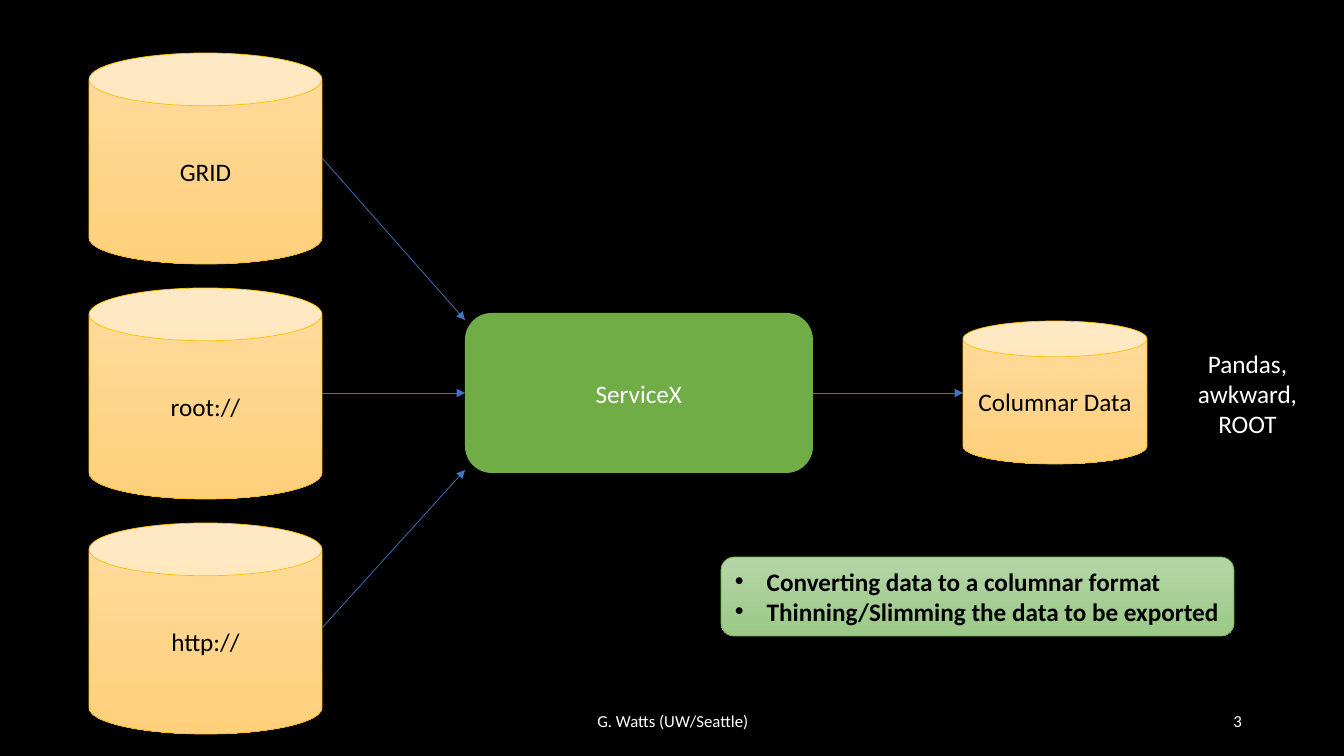
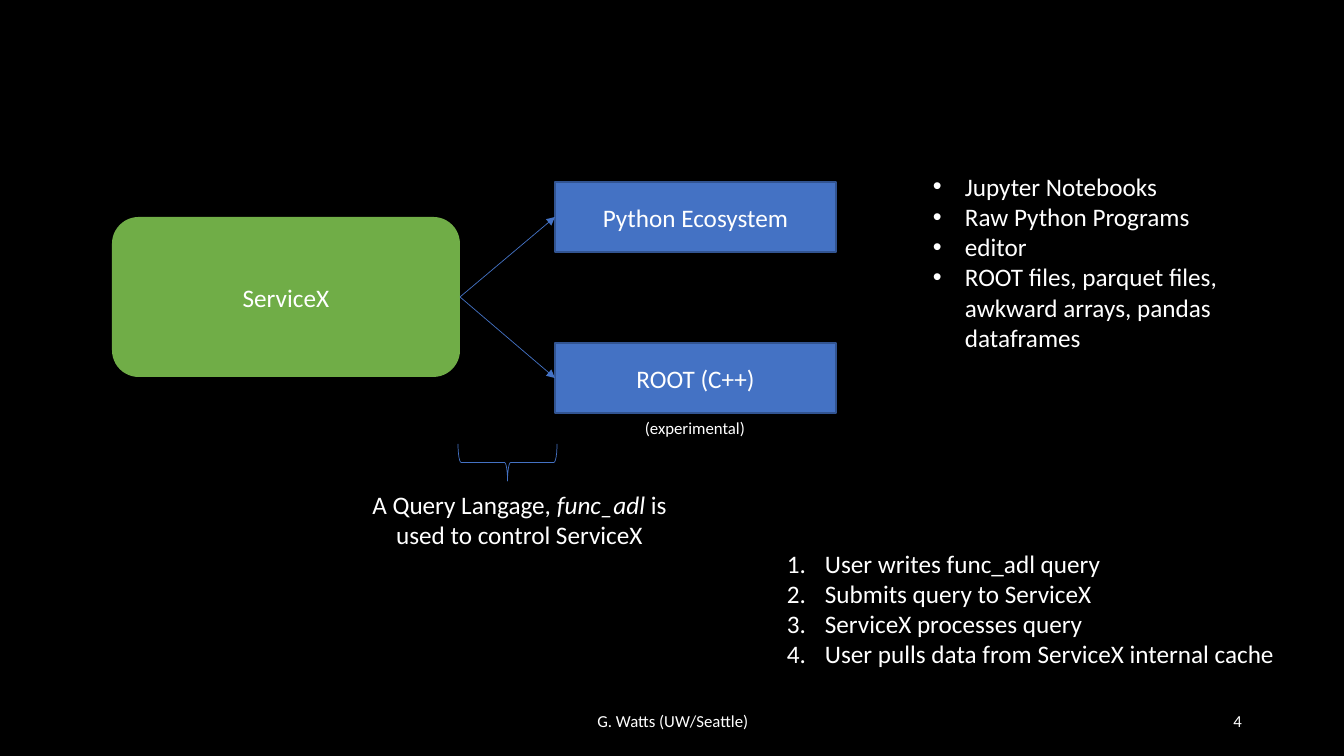
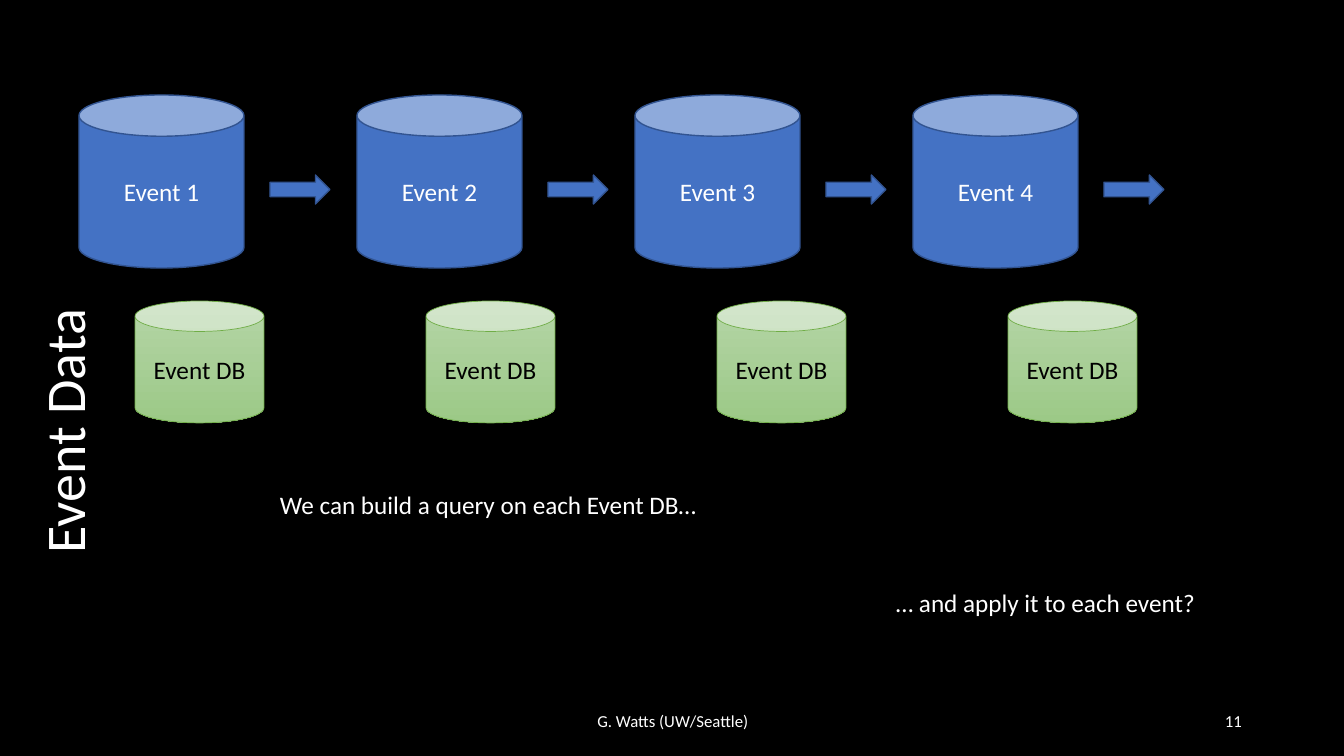
"""Build three slides on a data delivery service and its event queries."""
from dataclasses import dataclass

from lxml.etree import SubElement
from pptx import Presentation
from pptx.dml.color import RGBColor as Rgb
from pptx.enum.shapes import MSO_CONNECTOR as Link, MSO_SHAPE as Kind
from pptx.enum.text import MSO_ANCHOR as Anchor, MSO_AUTO_SIZE as Auto, PP_ALIGN as Align
from pptx.oxml.ns import qn
from pptx.util import Emu, Pt


@dataclass(frozen=True)
class Theme:
    """Hold the shared colours, type sizes and styles."""
    font: str = "Calibri"
    small: int = 12
    body: int = 18
    title: int = 40
    back: str = "000000"
    dark: str = "000000"
    light: str = "FFFFFF"
    blue: str = "4472C4"
    thin: float = 0.5
    bullet: int = 32
    number: int = 38


look = Theme()
GOLD = (("FFDB9E", "FFD07C"), ("FFC000", look.thin), look.dark)
MINT = (("B5D5A7", "9CC987"), ("70AD47", look.thin), look.dark)
GREEN = (("70AD47",), None, look.light)
BLUE = ((look.blue,), ("325491", 1), look.light)
HOLLOW = ((), (look.blue, look.thin), look.light)

FOOTER = "G. Watts (UW/Seattle)"
SERVICE = "ServiceX"
SOURCES = ["GRID", "root://", "http://"]
OUTPUT = "Columnar Data"
FORMATS = "Pandas, awkward, ROOT"
TASKS = ["Converting data to a columnar format",
         "Thinning/Slimming the data to be exported"]
CLIENTS = ["Python Ecosystem", "ROOT (C++)"]
STATUS = "(experimental)"
TOOLS = ["Jupyter Notebooks", "Raw Python Programs", "editor",
         "ROOT files, parquet files, awkward arrays, pandas dataframes"]
QUERY = [("A Query Langage, ", False), ("func_adl", True),
         (" is used to control ServiceX", False)]
STEPS = ["User writes func_adl query", "Submits query to ServiceX",
         "ServiceX processes query",
         "User pulls data from ServiceX internal cache"]
TITLE = "Event Data"
EVENTS = ["Event 1", "Event 2", "Event 3", "Event 4"]
STORE = "Event DB"
BUILD = "We can build a query on each Event DB…"
APPLY = "… and apply it to each event?"


def px(n):
    return Emu(round(n * 914400 / 100.8))


def mark(para, list_kind):
    props = para._p.get_or_add_pPr()
    gap = look.bullet if list_kind == "dot" else look.number
    props.set("marL", str(px(gap)))
    props.set("indent", str(-px(gap)))
    if list_kind == "dot":
        SubElement(props, qn("a:buFont")).set("typeface", "Arial")
        SubElement(props, qn("a:buChar")).set("char", "•")
    else:
        SubElement(props, qn("a:buAutoNum")).set("type", "arabicPeriod")


def write(shape, paras, size=look.body, color=look.light, align=Align.LEFT,
          anchor=Anchor.TOP, wrap=True, bold=False, list_kind=None):
    frame = shape.text_frame
    frame.word_wrap = wrap
    frame.auto_size = Auto.NONE
    frame.vertical_anchor = anchor
    for i, runs in enumerate([paras] if isinstance(paras, str) else paras):
        para = frame.add_paragraph() if i else frame.paragraphs[0]
        para.alignment = align
        if list_kind:
            mark(para, list_kind)
        for words, slant in [(runs, False)] if isinstance(runs, str) else runs:
            run = para.add_run()
            run.text = words
            font = run.font
            font.name, font.size = look.font, Pt(size)
            font.bold, font.italic = bold, slant
            font.color.rgb = Rgb.from_string(color)


def label(slide, box, paras, **style):
    write(slide.shapes.add_textbox(*map(px, box)), paras, **style)


def draw(slide, kind, box, paint):
    shape = slide.shapes.add_shape(kind, *map(px, box))
    shape.shadow.inherit = False
    tones, edge, _ = paint
    fill = shape.fill
    if len(tones) > 1:
        fill.gradient()
        fill.gradient_angle = 270
        for stop, tone in zip(fill.gradient_stops, tones):
            stop.color.rgb = Rgb.from_string(tone)
    elif tones:
        fill.solid()
        fill.fore_color.rgb = Rgb.from_string(tones[0])
    else:
        fill.background()
    if edge:
        shape.line.color.rgb = Rgb.from_string(edge[0])
        shape.line.width = Pt(edge[1])
    else:
        shape.line.fill.background()
    return shape


def node(slide, kind, box, paint, words):
    write(draw(slide, kind, box, paint), words, color=paint[2],
          align=Align.CENTER, anchor=Anchor.MIDDLE)


def arrow(slide, start, end):
    link = slide.shapes.add_connector(Link.STRAIGHT, *map(px, start + end))
    link.line.color.rgb = Rgb.from_string(look.blue)
    link.line.width = Pt(look.thin)
    props = link._element.spPr
    SubElement(props.find(qn("a:ln")), qn("a:tailEnd")).set("type", "triangle")
    SubElement(props, qn("a:effectLst"))


def start(deck, number, layout=6):
    slide = deck.slides.add_slide(deck.slide_layouts[layout])
    for box, words, align in (((446, 701, 454, 40), FOOTER, Align.CENTER),
                              ((950, 701, 302, 40), number, Align.RIGHT)):
        label(slide, box, words, size=look.small, align=align,
              anchor=Anchor.MIDDLE)
    return slide


def flow(deck):
    slide = start(deck, "3")
    left, top, wide, high, pitch = 89, 53, 233, 211, 235
    for i, (name, end) in enumerate(zip(SOURCES, (320, 393, 470))):
        y = top + i * pitch
        node(slide, Kind.CAN, (left, y, wide, high), GOLD, name)
        arrow(slide, (left + wide, y + high // 2), (465, end))
    node(slide, Kind.ROUNDED_RECTANGLE, (465, 313, 348, 160), GREEN, SERVICE)
    arrow(slide, (813, 393), (963, 393))
    node(slide, Kind.CAN, (963, 321, 184, 143), GOLD, OUTPUT)
    note = draw(slide, Kind.ROUNDED_RECTANGLE, (721, 557, 513, 79), MINT)
    write(note, TASKS, color=look.dark, bold=True, wrap=False, list_kind="dot")
    label(slide, (1178, 343, 139, 102), FORMATS, align=Align.CENTER)


def access(deck):
    slide = start(deck, "4")
    node(slide, Kind.ROUNDED_RECTANGLE, (112, 217, 348, 160), GREEN, SERVICE)
    left, top, wide, high, pitch = 555, 182, 281, 70, 161
    for i, name in enumerate(CLIENTS):
        y = top + i * pitch
        node(slide, Kind.RECTANGLE, (left, y, wide, high), BLUE, name)
        arrow(slide, (460, 297), (left, y + high // 2))
    label(slide, (635, 413, 122, 30), STATUS, size=look.small, wrap=False)
    label(slide, (923, 166, 383, 194), TOOLS, list_kind="dot")
    label(slide, (355, 484, 329, 72), [QUERY], align=Align.CENTER)
    draw(slide, Kind.RIGHT_BRACE, (489, 413, 37, 99), HOLLOW).rotation = 90
    label(slide, (777, 543, 513, 132), STEPS, wrap=False, list_kind="number")


def events(deck):
    slide = start(deck, "11", layout=5)
    title = slide.shapes.title
    title.left, title.top, title.width, title.height = map(px, (-70, 391, 267, 78))
    title.rotation = 270
    write(title, TITLE, size=look.title, wrap=False)
    for i, name in enumerate(EVENTS):
        x = i * 278
        node(slide, Kind.CAN, (79 + x, 95, 165, 173), BLUE, name)
        draw(slide, Kind.RIGHT_ARROW, (270 + x, 175, 60, 29), BLUE)
        node(slide, Kind.CAN, (135 + i * 291, 301, 129, 122), MINT, STORE)
    label(slide, (270, 484, 444, 40), BUILD, wrap=False)
    label(slide, (886, 582, 354, 40), APPLY)


def main():
    deck = Presentation()
    deck.slide_width, deck.slide_height = px(1344), px(756)
    back = deck.slide_master.background.fill
    back.solid()
    back.fore_color.rgb = Rgb.from_string(look.back)
    for build in (flow, access, events):
        build(deck)
    deck.save("out.pptx")


main()
